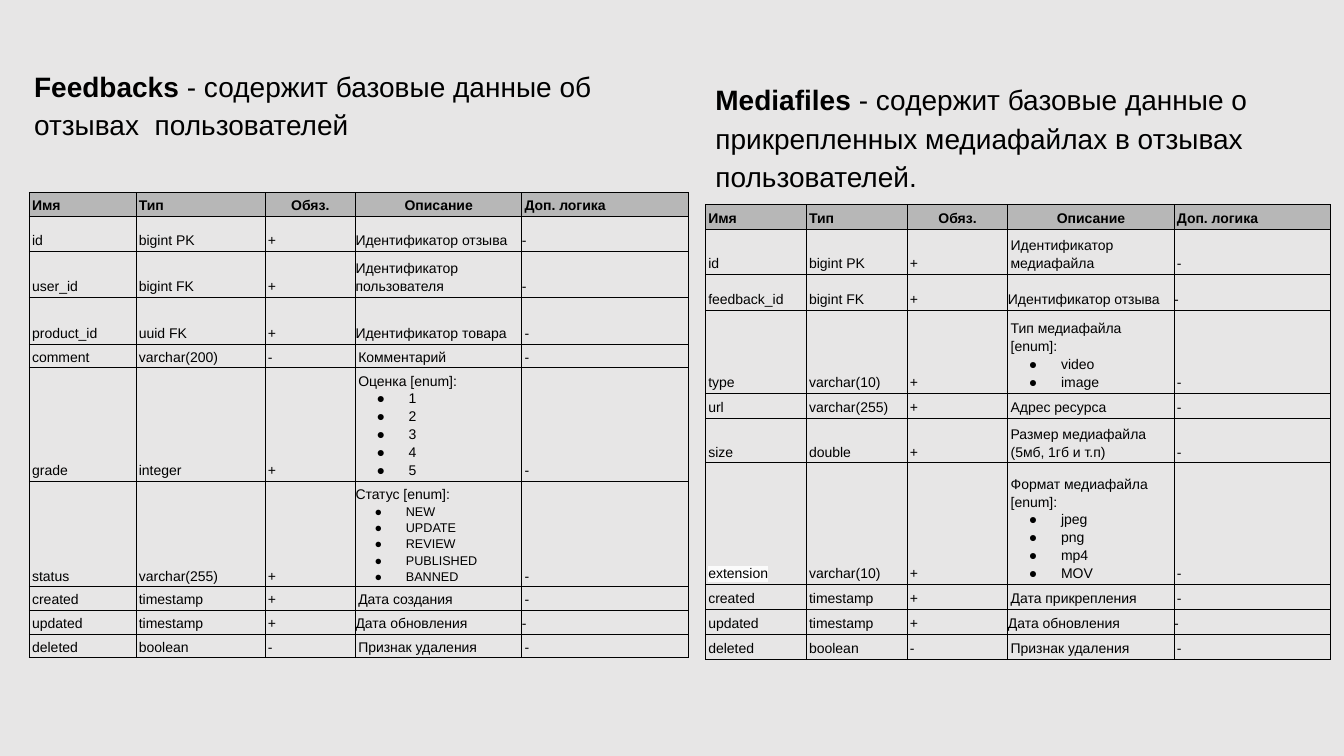
from lxml.etree import SubElement
from pptx import Presentation
from pptx.dml.color import RGBColor
from pptx.enum.text import MSO_ANCHOR, MSO_AUTO_SIZE, PP_ALIGN
from pptx.oxml import parse_xml
from pptx.oxml.ns import nsdecls, qn
from pptx.util import Cm, Pt

COLORS = {"page": "E7E6E6", "head": "B7B7B7", "ink": "000000", "mark": "FBFBFB"}
HEADS = ["Имя", "Тип", "Обяз.", "Описание", "Доп. логика"]

# height, name, type, required, description, columns with no side margin
FEEDBACK = [
    (0.88, "id", "bigint PK", "+", "Идентификатор отзыва", (3, 4)),
    (1.17, "user_id", "bigint FK", "+", "Идентификатор пользователя", (3, 4)),
    (1.18, "product_id", "uuid FK", "+", "Идентификатор товара", (3,)),
    (0.58, "comment", "varchar(200)", "-", "Комментарий", ()),
    (2.87, "grade", "integer", "+", "Оценка [enum]:\n1\n2\n3\n4\n5", ()),
    (2.65, "status", "varchar(255)", "+",
     "Cтатус [enum]:\nNEW\nUPDATE\nREVIEW\nPUBLISHED\nBANNED", (3,)),
    (0.6, "created", "timestamp", "+", "Дата создания", ()),
    (0.58, "updated", "timestamp", "+", "Дата обновления", (3, 4)),
    (0.58, "deleted", "boolean", "-", "Признак удаления", ()),
]
MEDIA = [
    (1.1, "id", "bigint PK", "+", "Идентификатор медиафайла", ()),
    (0.92, "feedback_id", "bigint FK", "+", "Идентификатор отзыва", (3, 4)),
    (1.6, "type", "varchar(10)", "+", "Тип медиафайла [enum]:\nvideo\nimage", ()),
    (0.63, "url", "varchar(255)", "+", "Адрес ресурса", ()),
    (1.12, "size", "double", "+", "Размер медиафайла (5мб, 1гб и т.п)", ()),
    (3.07, "extension", "varchar(10)", "+",
     "Формат медиафайла [enum]:\njpeg\npng\nmp4\nMOV", ()),
    (0.63, "created", "timestamp", "+", "Дата прикрепления", ()),
    (0.63, "updated", "timestamp", "+", "Дата обновления", (3, 4)),
    (0.63, "deleted", "boolean", "-", "Признак удаления", ()),
]


def write(par, text, size=10, bold=False, align=PP_ALIGN.LEFT, mark=None):
    par.line_spacing = 1.15
    par.alignment = align
    run = par.add_run()
    run.text = text
    font = run.font
    font.size = Pt(size)
    font.bold = bold
    font.color.rgb = RGBColor.from_string(COLORS["ink"])
    if mark:
        light = SubElement(font._element, qn("a:highlight"))
        SubElement(light, qn("a:srgbClr"), val=COLORS[mark])
    font.name = "Arial"


class Deck:
    def __init__(self):
        self.show = Presentation()
        self.show.slide_width = Cm(33.87)
        self.show.slide_height = Cm(19.05)
        self.slide = self.show.slides.add_slide(self.show.slide_layouts[6])
        fill = self.slide.background.fill
        fill.solid()
        fill.fore_color.rgb = RGBColor.from_string(COLORS["page"])

    def title(self, box, name, text, anchor, before=0, after=0, grow=False):
        frame = self.slide.shapes.add_textbox(*map(Cm, box)).text_frame
        frame.word_wrap = True
        frame.auto_size = MSO_AUTO_SIZE.SHAPE_TO_FIT_TEXT if grow else MSO_AUTO_SIZE.NONE
        frame.vertical_anchor = anchor
        frame.margin_left = frame.margin_right = Cm(0.25)
        frame.margin_top = frame.margin_bottom = Cm(0.25)
        par = frame.paragraphs[0]
        write(par, name, size=20, bold=True)
        write(par, text, size=20)
        par.space_before = Pt(before)
        par.space_after = Pt(after)

    def bullet(self, par, indent):
        props = par._p.get_or_add_pPr()
        props.set("marL", str(Cm(1.27)))
        props.set("indent", str(-Cm(indent)))
        color = SubElement(props, qn("a:buClr"))
        SubElement(color, qn("a:srgbClr"), val=COLORS["ink"])
        SubElement(props, qn("a:buFont"), typeface="Arial")
        SubElement(props, qn("a:buChar"), char="●")

    def border(self, cell):
        props = cell._tc.get_or_add_tcPr()
        for place, side in enumerate("LRTB"):
            props.insert(place, parse_xml(
                f'<a:ln{side} {nsdecls("a")} w="{Pt(0.75)}"><a:solidFill>'
                f'<a:srgbClr val="{COLORS["ink"]}"/></a:solidFill></a:ln{side}>'))

    def cell(self, cell, text, head=False, tight=False, **style):
        cell.vertical_anchor = MSO_ANCHOR.BOTTOM
        cell.margin_top = cell.margin_bottom = Cm(0.07)
        cell.margin_left = cell.margin_right = Cm(0 if tight else 0.07)
        if head:
            cell.fill.solid()
            cell.fill.fore_color.rgb = RGBColor.from_string(COLORS["head"])
        else:
            cell.fill.background()
        self.border(cell)
        first, *items = text.split("\n")
        frame = cell.text_frame
        write(frame.paragraphs[0], first, bold=head, **style)
        for item in items:
            par = frame.add_paragraph()
            write(par, item, size=9 if tight else 10)
            self.bullet(par, 0.79 if tight else 0.81)

    def table(self, left, top, widths, high, rows):
        tall = high + sum(row[0] for row in rows)
        table = self.slide.shapes.add_table(
            len(rows) + 1, len(widths), Cm(left), Cm(top), Cm(sum(widths)), Cm(tall)).table
        table.first_row = table.horz_banding = False
        for col, width in zip(table.columns, widths):
            col.width = Cm(width)
        table.rows[0].height = Cm(high)
        for col, text in enumerate(HEADS):
            align = PP_ALIGN.CENTER if col in (2, 3) else PP_ALIGN.LEFT
            self.cell(table.cell(0, col), text, head=True, align=align)
        for line, (height, *texts, tight) in enumerate(rows, 1):
            table.rows[line].height = Cm(height)
            for col, text in enumerate(texts + ["-"]):
                mark = "mark" if text == "extension" else None
                self.cell(table.cell(line, col), text, tight=col in tight, mark=mark)


def main():
    deck = Deck()
    deck.table(0.74, 4.85, [2.69, 3.25, 2.28, 4.19, 4.19], 0.58, FEEDBACK)
    deck.title((0.61, 1.37, 16.81, 2.36), "Feedbacks",
               " - содержит базовые данные об отзывах  пользователей",
               MSO_ANCHOR.TOP, before=14, after=4, grow=True)
    deck.table(17.78, 5.16, [2.54, 2.54, 2.54, 4.19, 3.94], 0.63, MEDIA)
    deck.title((17.78, 2.54, 16.1, 1.75), "Mediafiles",
               " - содержит базовые данные о прикрепленных медиафайлах в отзывах пользователей.",
               MSO_ANCHOR.MIDDLE, after=27)
    deck.show.save("out.pptx")


if __name__ == "__main__":
    main()
